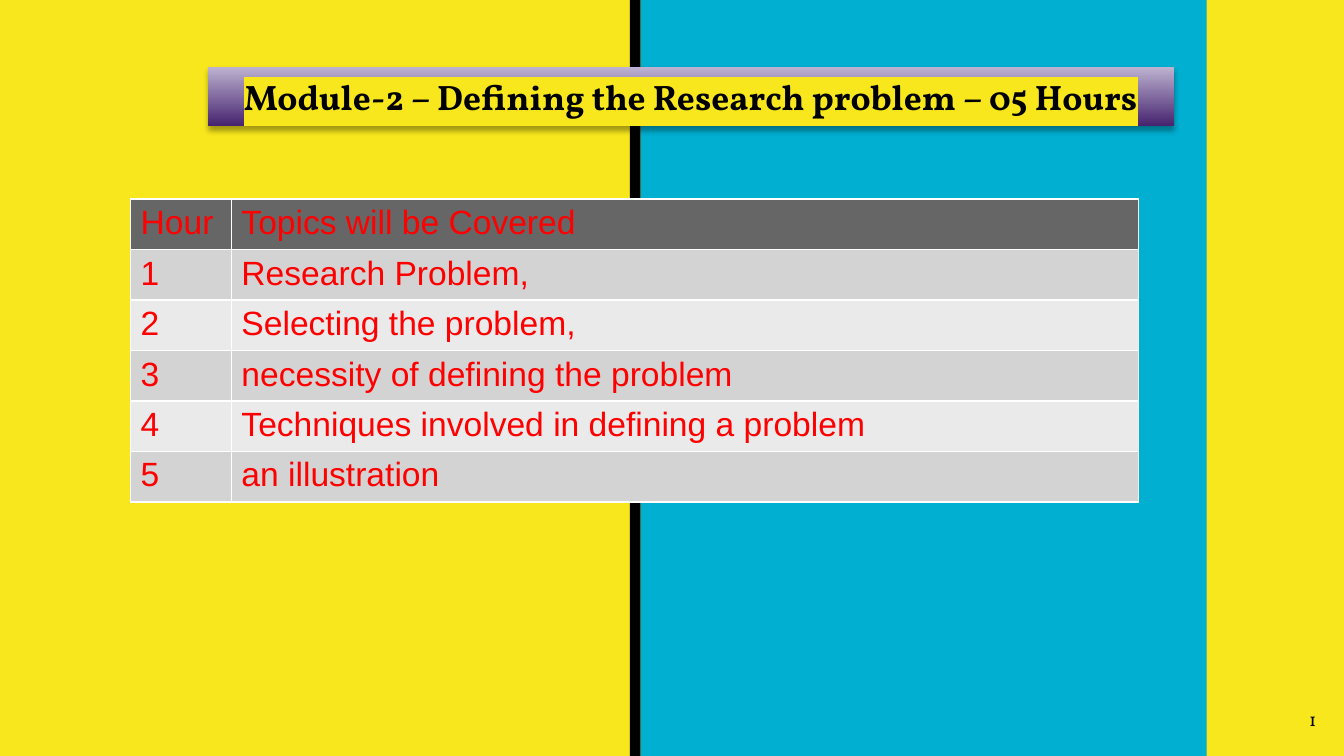
from lxml import etree
from pptx import Presentation
from pptx.dml.color import RGBColor
from pptx.enum import shapes, text
from pptx.oxml import ns, parse_xml
from pptx.util import Pt

HEX = {
    "yellow": "F8E71C", "blue": "01AFD1", "black": "000000",
    "pale": "BDB2D0", "deep": "46246F", "white": "FFFFFF",
    "head": "666666", "odd": "D3D3D3", "even": "EAEAEA", "red": "FF0000",
}
TOPICS = [
    "Research Problem,",
    "Selecting the problem,",
    "necessity of defining the problem",
    "Techniques involved in defining a problem",
    "an illustration",
]
WIDE, HIGH = 720, 405


def rgb(name):
    return RGBColor.from_string(HEX[name])


def style(par, face, size, color, bold=False):
    font = par.font
    font.name, font.size, font.bold = face, Pt(size), bold
    font.color.rgb = rgb(color)


def inset(frame, side, top):
    frame.margin_left = frame.margin_right = Pt(side)
    frame.margin_top = frame.margin_bottom = Pt(top)


def add_panels(slide, left, top, width, height, bar=5.75):
    """Black bar along the left edge of a blue panel."""
    parts = [("black", left, bar), ("blue", left + bar, width - bar)]
    for color, x, w in parts:
        panel = slide.shapes.add_shape(
            shapes.MSO_SHAPE.RECTANGLE, Pt(x), Pt(top), Pt(w), Pt(height))
        panel.shadow.inherit = False
        panel.fill.solid()
        panel.fill.fore_color.rgb = rgb(color)
        panel.line.fill.background()


def add_title(slide, left, top, width, height, words):
    """Title placeholder with a gradient, a shadow and highlighted words."""
    title = slide.shapes.title
    slide.shapes._spTree.append(title._element)  # in front of the panels
    title.left, title.top = Pt(left), Pt(top)
    title.width, title.height = Pt(width), Pt(height)
    title.fill.gradient()
    title.fill.gradient_angle = 270
    for stop, color in zip(title.fill.gradient_stops, ("pale", "deep")):
        stop.color.rgb = rgb(color)
    title._element.spPr.append(parse_xml(
        f'<a:effectLst {ns.nsdecls("a")}>'
        f'<a:outerShdw blurRad="{Pt(3.1)}" dist="{Pt(1.8)}" dir="5400000" rotWithShape="0">'
        f'<a:srgbClr val="{HEX["black"]}"><a:alpha val="35000"/></a:srgbClr>'
        '</a:outerShdw></a:effectLst>'))

    frame = title.text_frame
    frame.text = words
    frame.word_wrap = True
    frame.auto_size = text.MSO_AUTO_SIZE.NONE
    frame.vertical_anchor = text.MSO_ANCHOR.MIDDLE
    inset(frame, 7.2, 7.2)
    par = frame.paragraphs[0]
    par.alignment = text.PP_ALIGN.CENTER
    style(par, "Vollkorn", 18.9, "black", True)
    mark = etree.SubElement(par.runs[0]._r.get_or_add_rPr(), ns.qn("a:highlight"))
    etree.SubElement(mark, ns.qn("a:srgbClr"), val=HEX["yellow"])


def add_number(slide, left, top, width, height, words):
    """Page number, set to the right."""
    box = slide.shapes.add_textbox(Pt(left), Pt(top), Pt(width), Pt(height))
    frame = box.text_frame
    frame.text = words
    frame.word_wrap = True
    frame.vertical_anchor = text.MSO_ANCHOR.MIDDLE
    inset(frame, 7.2, 7.2)
    par = frame.paragraphs[0]
    par.alignment = text.PP_ALIGN.RIGHT
    style(par, "Vollkorn", 10, "black")


def fill_cell(cell, words, color):
    cell.text = words
    inset(cell, 5.4, 2.7)
    style(cell.text_frame.paragraphs[0], "Arial", 18, "red")
    props = cell._tc.get_or_add_tcPr()
    for side in "LRTB":
        line = etree.SubElement(props, ns.qn(f"a:ln{side}"), w=str(Pt(1)))
        paint = etree.SubElement(line, ns.qn("a:solidFill"))
        etree.SubElement(paint, ns.qn("a:srgbClr"), val=HEX["white"])
    cell.fill.solid()
    cell.fill.fore_color.rgb = rgb(color)


def add_topics(slide, left, top, width, height, first=54):
    """Table of hours and topics, with a narrow first column."""
    rows = [("Hour", "Topics will be Covered")]
    rows += [(str(n), topic) for n, topic in enumerate(TOPICS, 1)]
    table = slide.shapes.add_table(
        len(rows), 2, Pt(left), Pt(top), Pt(width), Pt(height)).table
    table.columns[0].width = Pt(first)
    table.columns[1].width = Pt(width - first)
    for r, row in enumerate(rows):
        table.rows[r].height = Pt(height / len(rows))
        color = "head" if r == 0 else "odd" if r % 2 else "even"
        for c, words in enumerate(row):
            fill_cell(table.cell(r, c), words, color)


def main():
    deck = Presentation()
    deck.slide_width, deck.slide_height = Pt(WIDE), Pt(HIGH)
    slide = deck.slides.add_slide(deck.slide_layouts[5])
    slide.background.fill.solid()
    slide.background.fill.fore_color.rgb = rgb("yellow")

    add_panels(slide, 337.5, 0, 309, HIGH)
    add_title(slide, 111.5, 36, 517.5, 31.5,
              "Module-2 – Defining the Research problem – 05 Hours")
    add_number(slide, 669, 369.5, 43.2, 31, "1")
    add_topics(slide, 70, 106.75, 540, 162)
    deck.save("out.pptx")


if __name__ == "__main__":
    main()
